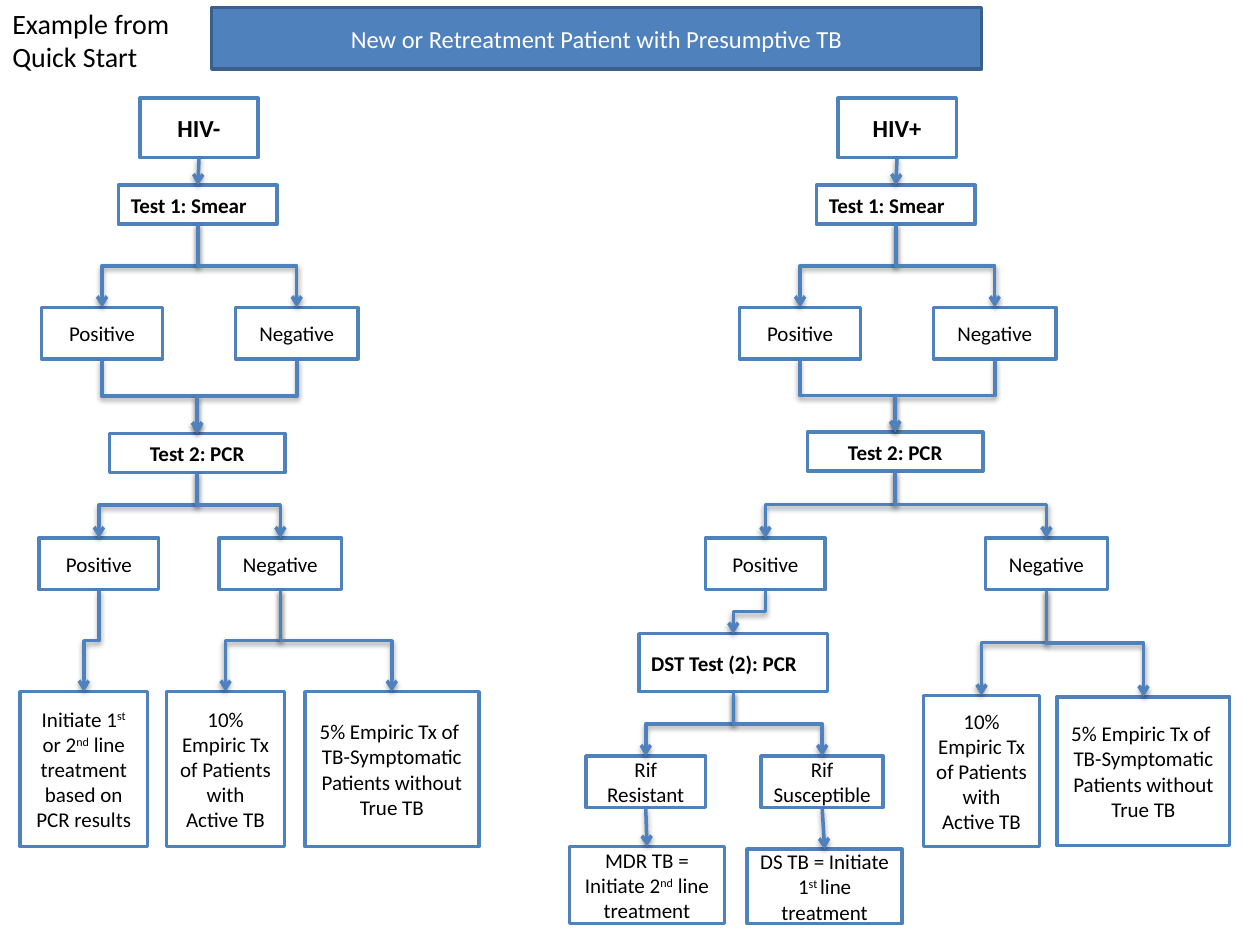
"""Build the TB testing flowchart for HIV- and HIV+ patients."""
import pptx
import pptx.util
import pptx.dml.color
import pptx.enum.shapes
import pptx.enum.text
import pptx.oxml
import pptx.oxml.ns

Inches, Pt = pptx.util.Inches, pptx.util.Pt
RGBColor = pptx.dml.color.RGBColor
Align = pptx.enum.text.PP_ALIGN
Kind = pptx.enum.shapes.MSO_CONNECTOR
BLUE = RGBColor(0x4F, 0x81, 0xBD)
NAVY = RGBColor(0x3A, 0x5F, 0x8C)
WHITE = RGBColor(0xFF, 0xFF, 0xFF)
BLACK = RGBColor(0, 0, 0)
SHADOW = (
    f'<a:effectLst {pptx.oxml.ns.nsdecls("a")}>'
    '<a:outerShdw blurRad="40000" dist="20000" dir="5400000" rotWithShape="0">'
    '<a:srgbClr val="000000"><a:alpha val="38000"/></a:srgbClr>'
    '</a:outerShdw></a:effectLst>'
)

deck = pptx.Presentation()
deck.slide_width, deck.slide_height = Inches(10), Inches(7.5)
slide = deck.slides.add_slide(deck.slide_layouts[6])
shapes = slide.shapes


def add_box(text, x, y, w, h, size=12, bold=False, align=Align.CENTER,
            fill=WHITE, edge=BLUE, ink=BLACK):
    box = shapes.add_shape(pptx.enum.shapes.MSO_SHAPE.RECTANGLE,
                           Inches(x), Inches(y), Inches(w), Inches(h))
    box.shadow.inherit = False
    box.fill.solid()
    box.fill.fore_color.rgb = fill
    box.line.color.rgb = edge
    box.line.width = Pt(2)
    frame = box.text_frame
    frame.vertical_anchor = pptx.enum.text.MSO_ANCHOR.MIDDLE
    for i, line in enumerate(text.split("\n")):
        para = frame.add_paragraph() if i else frame.paragraphs[0]
        para.alignment = align
        font = para.font
        font.name, font.size, font.bold = "Calibri", Pt(size), bold
        font.color.rgb = ink
        for j, part in enumerate(line.split("^")):
            run = para.add_run()
            run.text = part
            if j % 2:
                run._r.get_or_add_rPr().set("baseline", "30000")
    return box


def link(start, end, kind=Kind.ELBOW):
    wire = shapes.add_connector(kind, 0, 0, 0, 0)
    wire.begin_connect(start, 2)
    wire.end_connect(end, 0)
    props = wire._element.spPr
    if kind == Kind.ELBOW:
        right = wire.end_x > wire.begin_x
        mid_x = wire.left + wire.width // 2
        mid_y = wire.top + wire.height // 2
        wire.width, wire.height = wire.height, wire.width
        wire.left = mid_x - wire.width // 2
        wire.top = mid_y - wire.height // 2
        frame = props.find(pptx.oxml.ns.qn("a:xfrm"))
        frame.set("rot", "16200000" if right else "5400000")
        frame.set("flipH", "1" if right else "0")
    wire.line.color.rgb = BLUE
    wire.line.width = Pt(2)
    tip = pptx.oxml.parse_xml(f'<a:tailEnd {pptx.oxml.ns.nsdecls("a")} type="arrow"/>')
    wire.line._get_or_add_ln().append(tip)
    props.append(pptx.oxml.parse_xml(SHADOW))


add_box("New or Retreatment Patient with Presumptive TB", 1.68, 0.06, 6.11, 0.49,
        size=14, fill=BLUE, edge=NAVY, ink=WHITE)

note = shapes.add_textbox(0, 0, Inches(1.57), Inches(0.64))
note.text_frame.word_wrap = True
para = note.text_frame.paragraphs[0]
para.text = "Example from Quick Start"
para.font.name, para.font.size = "Calibri", Pt(16)
para.font.color.rgb = BLACK

TREAT = "10% Empiric Tx of Patients with Active TB"
SYMPTOM = "5% Empiric Tx of \nTB-Symptomatic Patients without True TB"
sides = [
    ("HIV-", 0, 3.44, 0.31, 1.74, (1.32, 5.49, 0.94, 1.23), (2.42, 5.49, 1.38, 1.23)),
    ("HIV+", 5.54, 3.43, 5.6, 7.82, (7.33, 5.52, 0.92, 1.2), (8.39, 5.53, 1.37, 1.18)),
]
found = []
for name, x, pcr_y, pos_x, neg_x, treat, symptom in sides:
    hiv = add_box(name, x + 1.11, 0.78, 0.94, 0.47, size=14, bold=True)
    smear = add_box("Test 1: Smear", x + 0.94, 1.47, 1.26, 0.31, bold=True, align=Align.LEFT)
    pcr = add_box("Test 2: PCR", x + 0.87, pcr_y, 1.39, 0.31, bold=True)
    link(hiv, smear, Kind.STRAIGHT)
    for label, left, wide in (("Positive", 0.33, 0.96), ("Negative", 1.87, 0.97)):
        result = add_box(label, x + left, 2.44, wide, 0.41)
        link(smear, result)
        link(result, pcr)
    pos = add_box("Positive", pos_x, 4.27, 0.95, 0.41)
    neg = add_box("Negative", neg_x, 4.27, 0.97, 0.41)
    link(pcr, pos)
    link(pcr, neg)
    for text, place in ((TREAT, treat), (SYMPTOM, symptom)):
        link(neg, add_box(text, *place))
    found.append(pos)

start = add_box("Initiate 1^st^ or 2^nd^ line treatment based on PCR results",
                0.16, 5.49, 1.01, 1.23)
dst = add_box("DST Test (2): PCR", 5.07, 5.03, 1.5, 0.46, bold=True, align=Align.LEFT)
for pos, step in zip(found, (start, dst)):
    link(pos, step)

rifs = [
    ("Rif Resistant", 4.65, 0.95,
     "MDR TB = Initiate 2^nd^ line treatment", 4.52, 6.72, 0.61),
    ("Rif Susceptible", 6.04, 0.97,
     "DS TB = Initiate 1^st ^line treatment", 5.93, 6.74, 0.59),
]
for label, left, wide, plan, plan_x, plan_y, tall in rifs:
    rif = add_box(label, left, 6, wide, 0.41)
    link(dst, rif)
    link(rif, add_box(plan, plan_x, plan_y, 1.23, tall), Kind.STRAIGHT)

deck.save("out.pptx")
